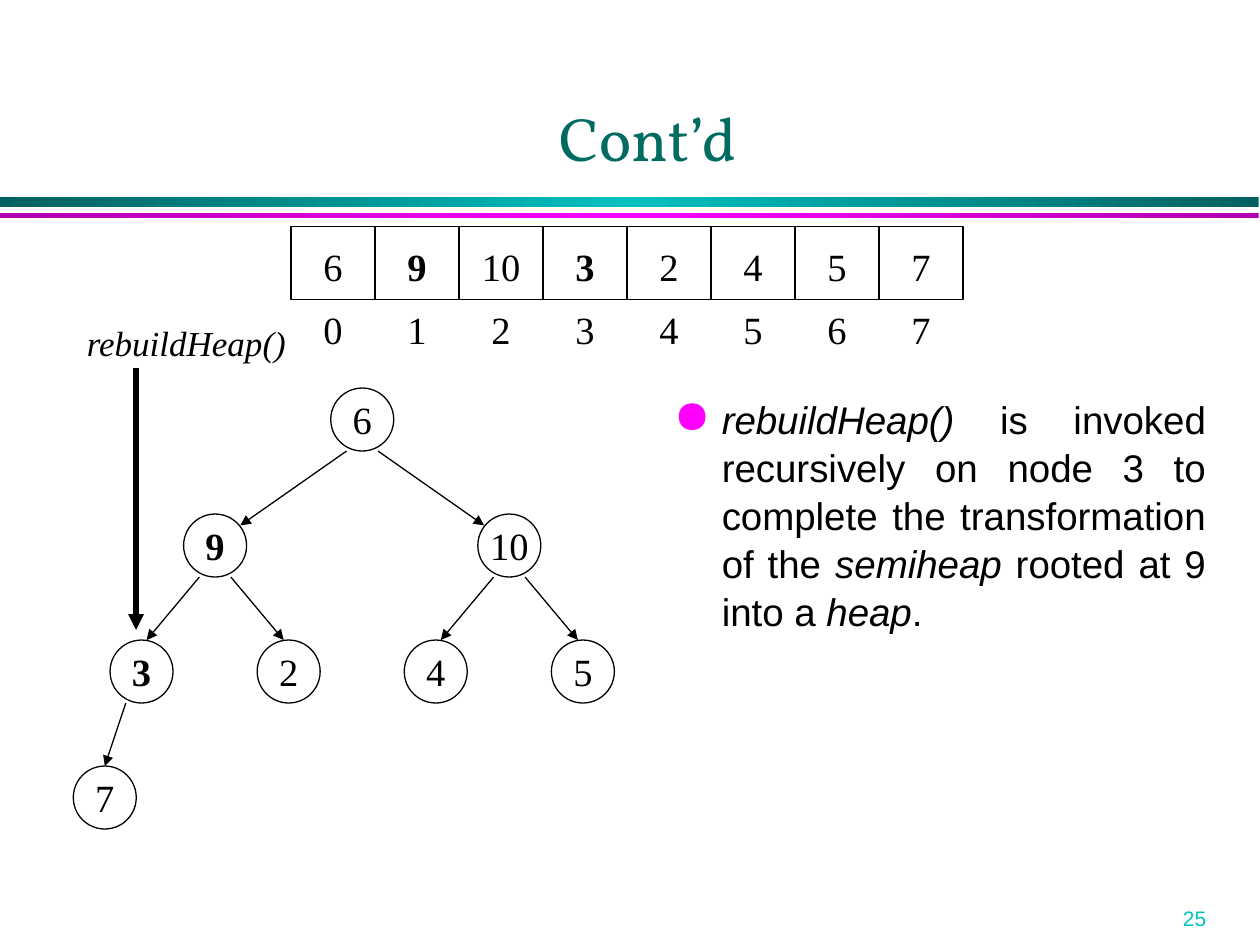
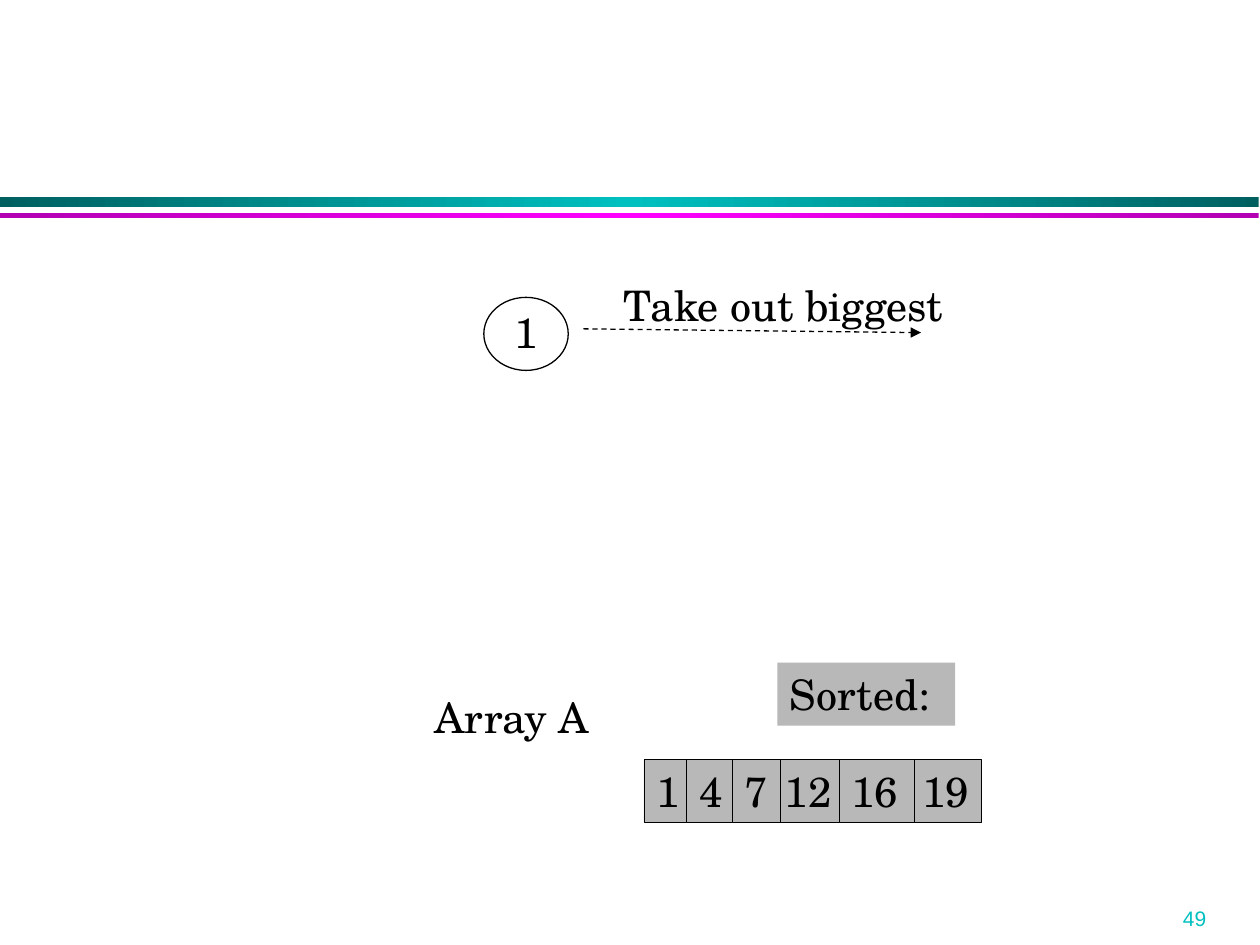
from copy import deepcopy

from pptx import Presentation
from pptx.dml.color import RGBColor
from pptx.enum.dml import MSO_LINE
from pptx.enum.shapes import MSO_CONNECTOR, MSO_SHAPE
from pptx.enum.text import MSO_ANCHOR, PP_ALIGN
from pptx.oxml.ns import qn
from pptx.oxml.xmlchemy import OxmlElement
from pptx.util import Inches, Pt

color = RGBColor.from_string
BLACK, GRAY = "000000", "B8B8B8"
TEAL, CYAN, MAGENTA = "006B61", "00C0C0", "FF00FF"
SERIF, SANS, SCHOOL, TITLE = "Times New Roman", "Arial", "TeX Gyre Schola", "Vollkorn"
CENTER, MIDDLE = PP_ALIGN.CENTER, MSO_ANCHOR.MIDDLE


def add_text(slide, text, at, font, size, kind=None, text_color=BLACK, align=PP_ALIGN.LEFT,
             anchor=MSO_ANCHOR.TOP, fill=None, line=None, margins=(0.1, 0.05, 0, 0.05)):
    """Add a text box, or a shape of the given kind, and return its paragraph."""
    box = [Inches(length) for length in at]
    shape = slide.shapes.add_shape(kind, *box) if kind else slide.shapes.add_textbox(*box)
    shape.shadow.inherit = False
    if fill:
        shape.fill.solid()
        shape.fill.fore_color.rgb = color(fill)
    else:
        shape.fill.background()
    if line:
        shape.line.color.rgb = color(BLACK)
        shape.line.width = Pt(line)
    else:
        shape.line.fill.background()
    frame = shape.text_frame
    frame.word_wrap = True
    frame.vertical_anchor = anchor
    frame.margin_left, frame.margin_top, frame.margin_right, frame.margin_bottom = map(Inches, margins)
    paragraph = frame.paragraphs[0]
    paragraph.text = text
    paragraph.alignment = align
    paragraph.font.name = font
    paragraph.font.size = Pt(size)
    paragraph.font.color.rgb = color(text_color)
    return paragraph


def add_arrow(slide, start, end, width=0.75, dash=None):
    arrow = slide.shapes.add_connector(MSO_CONNECTOR.STRAIGHT, *map(Inches, (*start, *end)))
    arrow.line.color.rgb = color(BLACK)
    arrow.line.width = Pt(width)
    if dash:
        arrow.line.dash_style = dash
    properties = arrow._element.spPr
    head = OxmlElement("a:tailEnd")
    head.set("type", "triangle")
    properties.find(qn("a:ln")).append(head)
    properties.append(OxmlElement("a:effectLst"))


presentation = Presentation()
presentation.slide_width, presentation.slide_height = Inches(10), Inches(7.5)
blank = presentation.slide_layouts[6]

# Shared bands and slide numbers
BANDS = [(1.56, 0.08, "006060", CYAN), (1.69, 0.04, "B200B2", MAGENTA)]
slides = []
for number in ("25", "49"):
    slide = presentation.slides.add_slide(blank)
    slides.append(slide)
    for top, height, edge, middle in BANDS:
        band = slide.shapes.add_shape(MSO_SHAPE.RECTANGLE, 0, Inches(top), Inches(9.99), Inches(height))
        band.shadow.inherit = False
        band.line.fill.background()
        band.fill.gradient()
        band.fill.gradient_angle = 0
        stop_list = band._element.spPr.find(qn("a:gradFill")).find(qn("a:gsLst"))
        stop_list.append(deepcopy(stop_list[0]))
        for stop, position, shade in zip(band.fill.gradient_stops, (0, 0.5, 1), (edge, middle, edge)):
            stop.position = position
            stop.color.rgb = color(shade)
    add_text(slide, number, (9.29, 7.14, 0.7, 0.3), SANS, 12, text_color=CYAN)
heap_slide, sorted_slide = slides

# Slide 1: heap as an array and as a tree
add_text(heap_slide, "Cont’d", (0.43, 0.68, 9.42, 0.75), TITLE, 35, text_color=TEAL,
         align=CENTER, anchor=MSO_ANCHOR.BOTTOM, margins=(0.1, 0.05, 0.1, 0.05))

HEAP = [6, 9, 10, 3, 2, 4, 5, 7]
CHANGED = (9, 3)
CELL_WIDTH = 2 / 3
NODE_SIZE = 0.5
TREE_LEFT, TREE_TOP, TREE_WIDTH = 0.54, 3.08, 4.67
# Distance from a child's top centre to the arrow tip, by level
TIP_OFFSETS = {1: (0.2, 0.09), 2: (0.04, 0), 3: (0, 0)}

centers = []
for index, value in enumerate(HEAP):
    cell_left = 2.31 + index * CELL_WIDTH
    cell = add_text(heap_slide, str(value), (cell_left, 1.8, CELL_WIDTH, 0.58), SERIF, 22,
                    MSO_SHAPE.RECTANGLE, align=CENTER, anchor=MIDDLE, line=0.75,
                    margins=(0, 0.1, 0, 0.05))
    add_text(heap_slide, str(index), (cell_left, 2.38, CELL_WIDTH, 0.47), SERIF, 22,
             align=CENTER, margins=(0, 0.05, 0, 0.05))

    level = (index + 1).bit_length() - 1
    spacing = TREE_WIDTH / 2 ** level
    center = TREE_LEFT + spacing * (index + 1 - 2 ** level + 0.5)
    top = TREE_TOP + level
    centers.append(center)
    node = add_text(heap_slide, str(value), (center - NODE_SIZE / 2, top, NODE_SIZE, NODE_SIZE),
                    SERIF, 22, MSO_SHAPE.OVAL, align=CENTER, anchor=MIDDLE, line=0.75,
                    margins=(0, 0, 0, 0))
    cell.font.bold = node.font.bold = value in CHANGED

    if index:
        side = -1 if index % 2 else 1
        tip_x, tip_y = TIP_OFFSETS[level]
        add_arrow(heap_slide, (centers[(index - 1) // 2] + side * 0.125, top - 1 + NODE_SIZE),
                  (center - side * tip_x, top + tip_y))

call_label = add_text(heap_slide, "rebuildHeap()", (0.59, 2.5, 1.79, 0.44), SERIF, 20, anchor=MIDDLE)
call_label.font.italic = True
add_arrow(heap_slide, (1.08, 2.92), (1.08, 5), width=3)

body = add_text(heap_slide, "", (5.25, 3.08, 4.42, 3.92), SANS, 22, align=PP_ALIGN.JUSTIFY,
                margins=(0.1, 0.05, 0.1, 0.05))
body.line_spacing = 1.04
body_properties = body._p.get_or_add_pPr()
body_properties.set("marL", str(Inches(0.38)))
body_properties.set("indent", str(-Inches(0.38)))
bullet_color = OxmlElement("a:buClr")
bullet_rgb = OxmlElement("a:srgbClr")
bullet_rgb.set("val", MAGENTA)
bullet_color.append(bullet_rgb)
bullet_size = OxmlElement("a:buSzPct")
bullet_size.set("val", "120000")
bullet = OxmlElement("a:buChar")
bullet.set("char", "●")
default_font = body_properties.find(qn("a:defRPr"))
for element in (bullet_color, bullet_size, bullet):
    default_font.addprevious(element)
for text, italic in [
    ("rebuildHeap()", True),
    (" is invoked recursively on node 3 to complete the transformation of the ", False),
    ("semiheap", True),
    (" rooted at 9 into a ", False),
    ("heap", True),
    (".", False),
]:
    run = body.add_run()
    run.text = text
    run.font.italic = italic

# Slide 2: last step of the sort
add_text(sorted_slide, "1", (3.84, 2.36, 0.67, 0.58), SCHOOL, 24, MSO_SHAPE.OVAL,
         align=CENTER, anchor=MIDDLE, line=0.75, margins=(0, 0, 0, 0.03))
SORTED_CELLS = [("19", 7.22, 0.57), ("12", 6.13, 0.57), ("16", 6.66, 0.6),
                ("1", 5.11, 0.38), ("4", 5.45, 0.38), ("7", 5.81, 0.38)]
for value, left, width in SORTED_CELLS:
    add_text(sorted_slide, value, (left, 6.03, width, 0.5), SCHOOL, 24, MSO_SHAPE.RECTANGLE,
             fill=GRAY, line=0.25)
add_text(sorted_slide, "Array A", (3.35, 5.44, 1.43, 0.5), SCHOOL, 24)
add_text(sorted_slide, "Sorted:", (6.17, 5.26, 1.41, 0.5), SCHOOL, 24, fill=GRAY)
add_arrow(sorted_slide, (4.63, 2.61), (7.31, 2.64), dash=MSO_LINE.DASH)
add_text(sorted_slide, "Take out biggest", (4.85, 2.17, 2.75, 0.5), SCHOOL, 24)

presentation.save("out.pptx")
